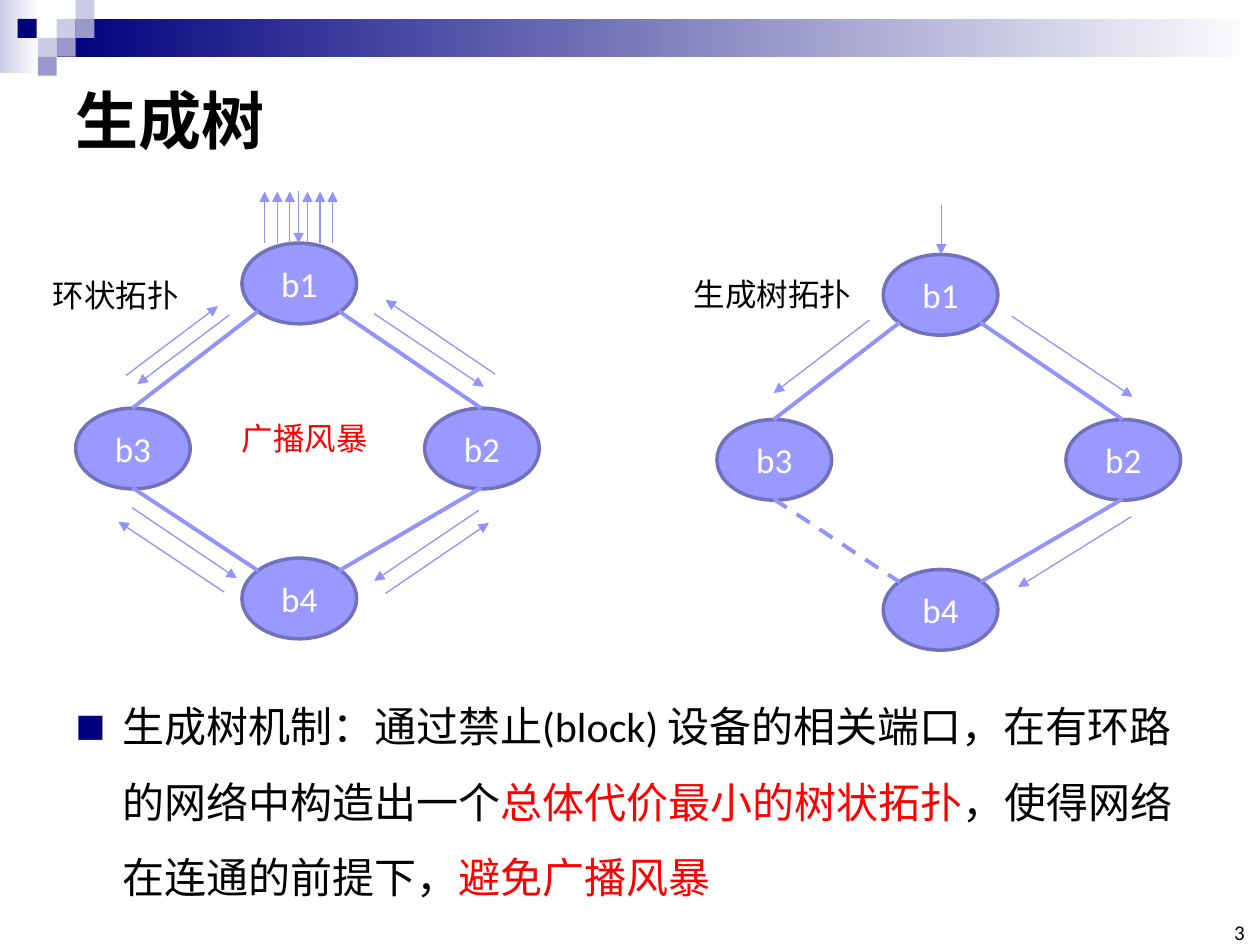
from lxml.etree import SubElement as SubEl
from pptx import Presentation as Deck
from pptx.dml.color import RGBColor as RGB
from pptx.enum.dml import MSO_LINE as Dash
from pptx.enum.shapes import MSO_CONNECTOR as Conn, MSO_SHAPE as Form
from pptx.enum.text import MSO_ANCHOR as Anchor, MSO_AUTO_SIZE as Auto, PP_ALIGN as Align
from pptx.oxml.ns import qn
from pptx.util import Inches, Pt

NAVY, MID, PALE, WHITE = "00007D", "9999CC", "CCCCE6", "FFFFFF"
BLACK, RED = "000000", "FF0000"
NODE, EDGE, LINK = "9999FF", "7171BD", "9393FC"


def color(code):
    return RGB.from_string(code)


def adjust(item, values):
    for name, value in values.items():
        setattr(item, name, value)


class Board:
    font = "Calibri"

    def __init__(self, slide):
        self.slide = slide
        self.shapes = slide.shapes

    def place(self, shape, box):
        names = ("left", "top", "width", "height")
        adjust(shape, dict(zip(names, map(Inches, box))))

    def letter(self, para, runs, size, bold=False):
        for text, code in runs:
            run = para.add_run()
            run.text = text
            adjust(run.font, {"name": self.font, "size": Pt(size), "bold": bold})
            run.font.color.rgb = color(code)

    def block(self, box, *codes):
        """Plain square for one colour, left-to-right fade for two."""
        shape = self.shapes.add_shape(Form.RECTANGLE, *map(Inches, box))
        shape.shadow.inherit = False
        shape.line.fill.background()
        if len(codes) == 1:
            shape.fill.solid()
            shape.fill.fore_color.rgb = color(codes[0])
            return
        shape.fill.gradient()
        shape.fill.gradient_angle = 0
        for stop, code, spot in zip(shape.fill.gradient_stops, codes, (0, 1)):
            stop.color.rgb = color(code)
            stop.position = spot

    def node(self, x, y, name):
        shape = self.shapes.add_shape(Form.OVAL, *map(Inches, (x, y, 0.91, 0.64)))
        shape.shadow.inherit = False
        shape.fill.solid()
        shape.fill.fore_color.rgb = color(NODE)
        shape.line.color.rgb = color(EDGE)
        shape.line.width = Pt(2)
        frame = shape.text_frame
        frame.vertical_anchor = Anchor.MIDDLE
        frame.paragraphs[0].alignment = Align.CENTER
        self.letter(frame.paragraphs[0], [(name, WHITE)], 20)

    def line(self, ends, width=2.25, dash=None, arrow=False):
        link = self.shapes.add_connector(Conn.STRAIGHT, *map(Inches, ends))
        link.line.color.rgb = color(LINK)
        link.line.width = Pt(width)
        if dash:
            link.line.dash_style = dash
        props = link._element.spPr
        if arrow:
            SubEl(props.find(qn("a:ln")), qn("a:tailEnd"), type="triangle")
        SubEl(props, qn("a:effectLst"))

    def arrow(self, *ends):
        self.line(ends, 0.75, arrow=True)

    def label(self, box, text, code=BLACK):
        shape = self.shapes.add_textbox(*map(Inches, box))
        frame = shape.text_frame
        adjust(frame, {"word_wrap": False, "auto_size": Auto.SHAPE_TO_FIT_TEXT})
        self.letter(frame.paragraphs[0], [(text, code)], 18)

    def number(self, box, text):
        frame = self.shapes.add_textbox(*map(Inches, box)).text_frame
        sides = ("left", "top", "right", "bottom")
        adjust(frame, {f"margin_{side}": 0 for side in sides})
        adjust(frame, {"word_wrap": True, "vertical_anchor": Anchor.BOTTOM})
        frame.paragraphs[0].alignment = Align.RIGHT
        self.letter(frame.paragraphs[0], [(text, BLACK)], 12)

    def title(self, box, text):
        shape = self.shapes.title
        self.place(shape, box)
        frame = shape.text_frame
        adjust(frame, {"vertical_anchor": Anchor.MIDDLE, "auto_size": Auto.NONE})
        frame.paragraphs[0].alignment = Align.LEFT
        self.letter(frame.paragraphs[0], [(text, BLACK)], 36, True)

    def body(self, box, runs):
        shape = self.slide.placeholders[1]
        self.place(shape, box)
        shape.text_frame.auto_size = Auto.NONE
        para = shape.text_frame.paragraphs[0]
        adjust(para, {"line_spacing": 1.5, "space_before": Pt(0)})
        props = para._p.get_or_add_pPr()
        indent = Inches(0.37)
        props.set("marL", str(indent))
        props.set("indent", str(-indent))
        tint = SubEl(props, qn("a:buClr"))
        SubEl(tint, qn("a:srgbClr"), val=NAVY)
        SubEl(props, qn("a:buSzPct"), val="75000")
        SubEl(props, qn("a:buFont"), typeface=self.font)
        SubEl(props, qn("a:buChar"), char="■")
        self.letter(para, runs, 24)

    def ring(self, x, y, last=None):
        """Four bridges and their links; last is the dash of link b3-b4."""
        for dx, dy, name in ((1.32, 0, "b1"), (0, 1.31, "b3"),
                             (2.77, 1.31, "b2"), (1.32, 2.5, "b4")):
            self.node(x + dx, y + dy, name)
        for x1, y1, x2, y2, dash in ((1.45, 0.54, 0.45, 1.31, None),
                                     (2.09, 0.54, 3.22, 1.31, None),
                                     (0.45, 1.94, 1.45, 2.6, last),
                                     (3.22, 1.94, 2.09, 2.6, None)):
            self.line((x + x1, y + y1, x + x2, y + y2), dash=dash)


def main():
    deck = Deck()
    adjust(deck, {"slide_width": Inches(10), "slide_height": Inches(7.5)})
    board = Board(deck.slides.add_slide(deck.slide_layouts[1]))

    # Header band and squares
    board.block((0, 0, 0.31, 0.58), PALE, WHITE)
    board.block((0.45, 0.15, 9.55, 0.3), NAVY, WHITE)
    for x, y, code in ((0.45, 0.15, PALE), (0.6, 0, PALE), (0.6, 0.15, MID),
                       (0.3, 0.3, PALE), (0.14, 0.15, NAVY),
                       (0.45, 0.3, MID), (0.3, 0.45, MID)):
        board.block((x, y, 0.15, 0.15), code)

    # Title, text and page number
    board.title((0.5, 0.5, 9, 0.89), "生成树")
    board.body((0.5, 5.31, 9, 1.78), [
        ("生成树机制：通过禁止(block) 设备的相关端口，在有环路的网络中构造出一个", BLACK),
        ("总体代价最小的树状拓扑", RED),
        ("，使得网络在连通的前提下，", BLACK),
        ("避免广播风暴", RED)])
    board.number((9.65, 7.33, 0.23, 0.17), "3")

    # Ring topology with its broadcast storm
    board.ring(0.6, 1.93)
    board.label((0.32, 2.14, 1.21, 0.4), "环状拓扑")
    board.label((1.82, 3.28, 1.21, 0.4), "广播风暴", RED)
    for ends in ((1, 2.98, 1.73, 2.43), (1.82, 2.5, 1.09, 3.05),
                 (2.97, 2.49, 3.84, 3.07), (3.93, 2.97, 3.06, 2.38),
                 (1.05, 4.03, 1.88, 4.59), (1.78, 4.7, 0.94, 4.14),
                 (3.8, 4.05, 2.97, 4.61), (3.06, 4.71, 3.88, 4.15),
                 (2.37, 1.52, 2.37, 1.93)):
        board.arrow(*ends)
    for x in (2.1, 2.2, 2.3, 2.44, 2.54, 2.64):
        board.arrow(x, 1.93, x, 1.52)

    # Spanning tree topology
    board.ring(5.69, 2.02, Dash.DASH)
    board.label((5.41, 2.13, 1.46, 0.4), "生成树拓扑")
    for ends in ((7.47, 1.63, 7.47, 2.02), (6.9, 2.54, 6.14, 3.12),
                 (8.03, 2.51, 8.99, 3.15), (8.98, 4.1, 8.08, 4.66)):
        board.arrow(*ends)

    deck.save("out.pptx")


if __name__ == "__main__":
    main()
